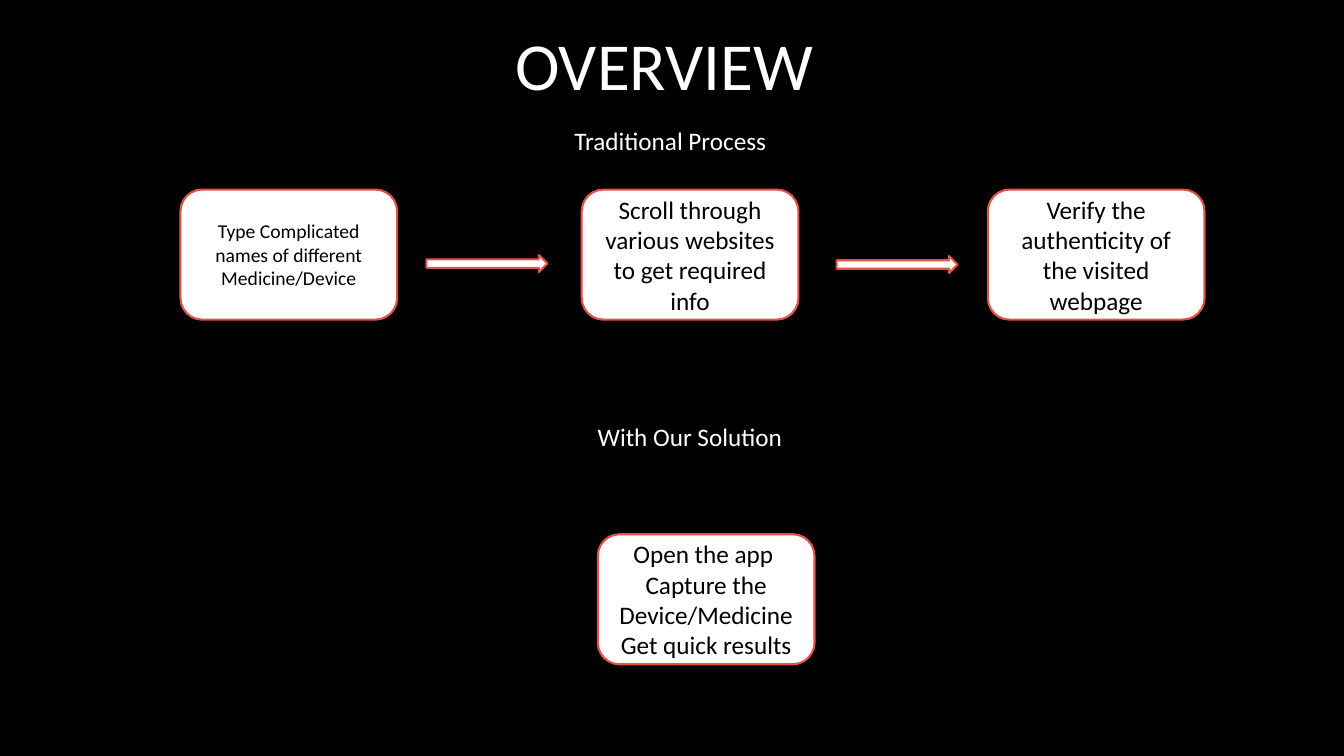
import pptx
import pptx.dml.color
import pptx.enum.shapes
import pptx.enum.text
import pptx.util

Pt = pptx.util.Pt
SHAPE = pptx.enum.shapes.MSO_SHAPE
ANCHOR = pptx.enum.text.MSO_ANCHOR
ALIGN = pptx.enum.text.PP_ALIGN

BLACK, WHITE, RED = "000000", "FFFFFF", "E25247"
STEP_W, STEP_H = 154.8, 92.9
ARROW_W, ARROW_H = 86.4, 12.2


def color(hex_code):
    return pptx.dml.color.RGBColor.from_string(hex_code)


def write(sp, lines, size, hex_code, align, anchor, wrap=True):
    tf = sp.text_frame
    tf.word_wrap = wrap
    tf.vertical_anchor = anchor
    for i, line in enumerate(lines):
        p = tf.paragraphs[0] if i == 0 else tf.add_paragraph()
        p.text = line
        p.alignment = align
        p.font.name = "Calibri"
        p.font.size = Pt(size)
        p.font.color.rgb = color(hex_code)


def add_outlined(s, kind, x, y, w, h):
    sp = s.shapes.add_shape(kind, Pt(x), Pt(y), Pt(w), Pt(h))
    sp.shadow.inherit = False
    sp.fill.solid()
    sp.fill.fore_color.rgb = color(WHITE)
    sp.line.color.rgb = color(RED)
    sp.line.width = Pt(1.5)
    return sp


def add_step(s, x, y, lines, size=18):
    sp = add_outlined(s, SHAPE.ROUNDED_RECTANGLE, x, y, STEP_W, STEP_H)
    write(sp, lines, size, BLACK, ALIGN.CENTER, ANCHOR.MIDDLE)


def add_caption(s, x, y, w, text):
    sp = s.shapes.add_textbox(Pt(x), Pt(y), Pt(w), Pt(29))
    write(sp, [text], 18, WHITE, ALIGN.LEFT, ANCHOR.TOP, wrap=False)
    sp.text_frame.auto_size = pptx.enum.text.MSO_AUTO_SIZE.SHAPE_TO_FIT_TEXT


def add_title(s, x, y, w, h):
    sp = s.shapes.add_textbox(Pt(x), Pt(y), Pt(w), Pt(h))
    write(sp, ["OVERVIEW"], 48, WHITE, ALIGN.CENTER, ANCHOR.BOTTOM)


def add_traditional_process(s, x, y):
    add_caption(s, x + 274.3, y, 152.6, "Traditional Process")
    # Steps, each with its offset from the left edge and its text size
    steps = [
        (0, 14, "Type Complicated names of different Medicine/Device"),
        (286.6, 18, "Scroll through various websites to get required info"),
        (576.7, 18, "Verify the authenticity of the visited webpage"),
    ]
    for dx, size, text in steps:
        add_step(s, x + dx, y + 49.7, [text], size)
    # Arrows between the steps
    for dx, dy in [(175.7, 96.5), (468.7, 97.2)]:
        add_outlined(s, SHAPE.RIGHT_ARROW, x + dx, y + dy, ARROW_W, ARROW_H)


def add_solution(s, x, y):
    add_caption(s, x, y, 147.6, "With Our Solution")
    add_step(s, x + 7.2, y + 84.2,
             ["Open the app ", "Capture the Device/Medicine", "Get quick results"])


def main():
    prs = pptx.Presentation()
    prs.slide_width, prs.slide_height = Pt(960), Pt(540)
    s = prs.slides.add_slide(prs.slide_layouts[6])
    s.background.fill.solid()
    s.background.fill.fore_color.rgb = color(BLACK)

    add_title(s, 138.2, -4.3, 672.5, 82.1)
    add_traditional_process(s, 128.9, 85.7)
    add_solution(s, 419.8, 297.4)

    prs.save("out.pptx")


if __name__ == "__main__":
    main()
